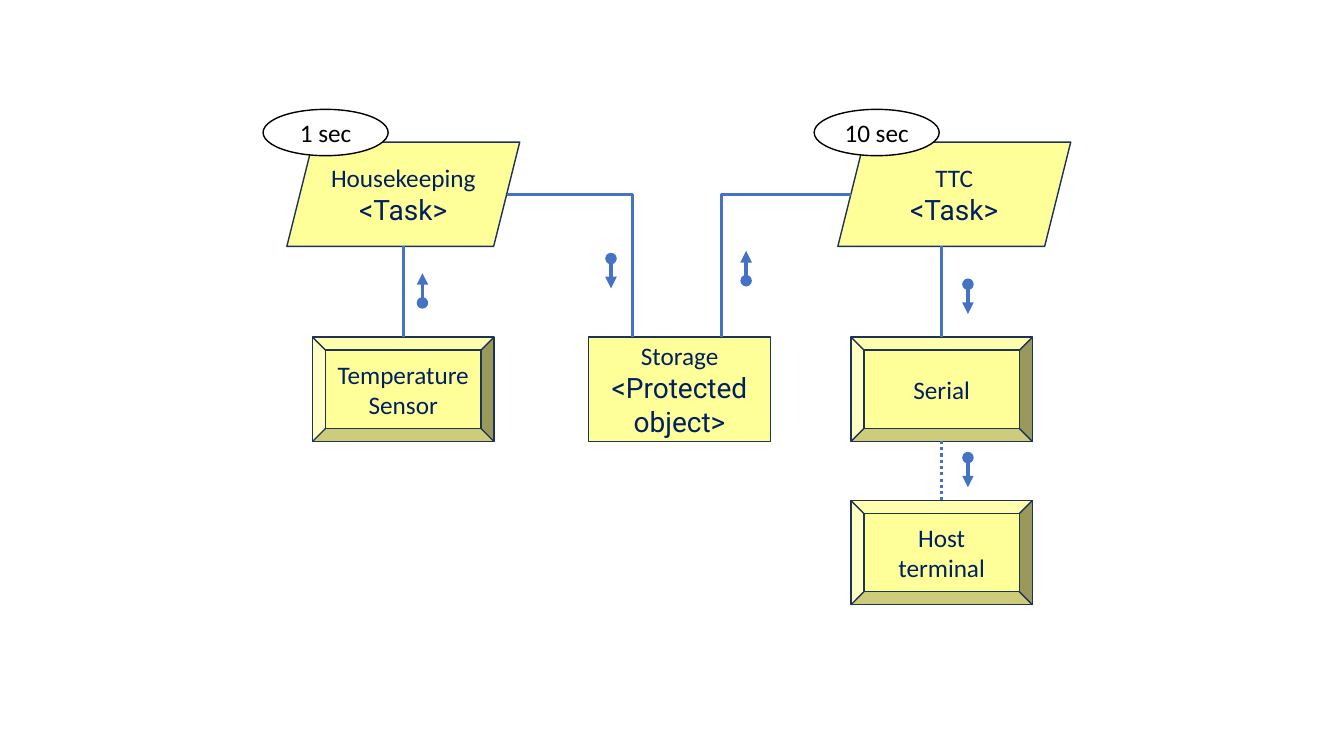
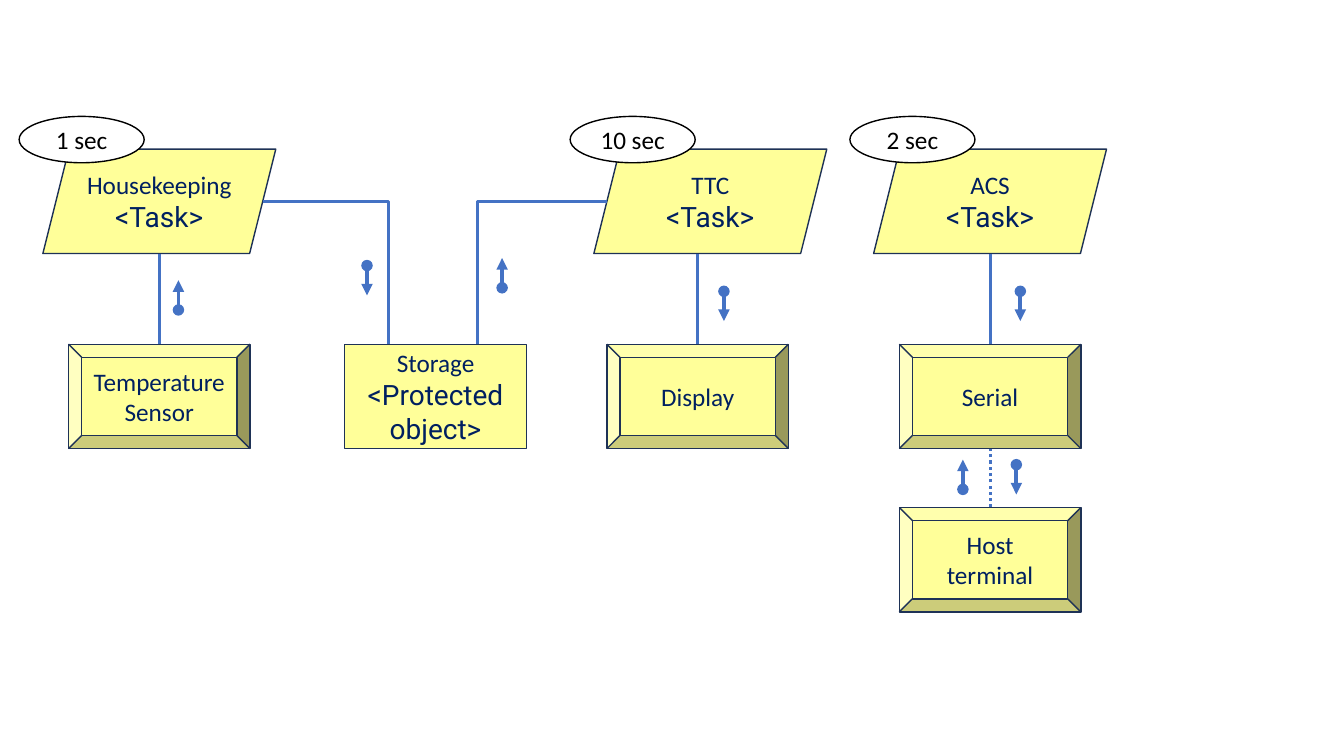
from pptx import Presentation
from pptx.dml.color import RGBColor
from pptx.enum.dml import MSO_LINE
from pptx.enum.shapes import MSO_CONNECTOR, MSO_SHAPE
from pptx.enum.text import MSO_ANCHOR, PP_ALIGN
from pptx.oxml.ns import qn
from pptx.util import Inches, Pt
from lxml import etree

STRAIGHT, ELBOW = MSO_CONNECTOR.STRAIGHT, MSO_CONNECTOR.ELBOW
BEVEL, RECTANGLE = MSO_SHAPE.BEVEL, MSO_SHAPE.RECTANGLE
PARALLELOGRAM, OVAL = MSO_SHAPE.PARALLELOGRAM, MSO_SHAPE.OVAL
DOTTED = MSO_LINE.ROUND_DOT
MIDDLE, CENTER = MSO_ANCHOR.MIDDLE, PP_ALIGN.CENTER

COLORS = {
    "box": "FFFF99", "edge": "1E3256", "text": "002060",
    "link": "4472C4", "timer": "FFFFFF", "ink": "000000",
}
NAME_FONT, KIND_FONT = ("Calibri", 18), ("Roboto", 20)

CELL = 0.1
TASK_WIDTH, DEVICE_WIDTH, BOX_HEIGHT = 23.1, 18, 10.35
TIMER_WIDTH, TIMER_HEIGHT = 12.4, 4.6
TIMER_LEFT, TIMER_RISE = -13.9, -3.25
DEVICE_ROW, HOST_ROW = 19.35, 35.55
STORAGE_LANE, TTC_LANE, ACS_LANE = 27.4, 53.4, 82.4
TTC_SHIFT = 1.25
FLOW_LENGTH = 2.95


def color(name):
    return RGBColor.from_string(COLORS[name])


class Diagram:
    def __init__(self, deck):
        self.deck = deck
        self.page = None
        self.origin = (0, 0)

    def new_page(self, column, row):
        self.page = self.deck.slides.add_slide(self.deck.slide_layouts[6])
        self.origin = (column, row)

    def place(self, column, row):
        return (Inches((self.origin[0] + column) * CELL),
                Inches((self.origin[1] + row) * CELL))

    def box(self, shape, column, row, width, height, lines,
            fill="box", edge="edge", ink="text"):
        box = self.page.shapes.add_shape(
            shape, *self.place(column, row), Inches(width * CELL), Inches(height * CELL))
        box.shadow.inherit = False
        box.fill.solid()
        box.fill.fore_color.rgb = color(fill)
        box.line.color.rgb = color(edge)
        box.line.width = Pt(1)
        frame = box.text_frame
        frame.word_wrap = True
        frame.vertical_anchor = MIDDLE
        for index, text in enumerate(lines):
            para = frame.paragraphs[0] if index == 0 else frame.add_paragraph()
            para.text = text
            para.alignment = CENTER
            name, size = KIND_FONT if text.startswith("<") else NAME_FONT
            para.font.name, para.font.size = name, Pt(size)
            para.font.color.rgb = color(ink)

    def task(self, center, name):
        self.box(PARALLELOGRAM, center - TASK_WIDTH / 2, 0, TASK_WIDTH, BOX_HEIGHT,
                 [name, "<Task>"])

    def device(self, lane, *lines, row=DEVICE_ROW, shape=BEVEL):
        self.box(shape, lane - DEVICE_WIDTH / 2, row, DEVICE_WIDTH, BOX_HEIGHT, lines)

    def timer(self, center, period):
        self.box(OVAL, center + TIMER_LEFT, TIMER_RISE, TIMER_WIDTH, TIMER_HEIGHT,
                 [period], "timer", "ink", "ink")

    def link(self, start, end, kind=STRAIGHT, width=2.25):
        link = self.page.shapes.add_connector(kind, *self.place(*start), *self.place(*end))
        link.line.color.rgb = color("link")
        link.line.width = Pt(width)
        etree.SubElement(link._element.spPr, qn("a:effectLst"))
        return link

    def drop(self, lane):
        self.link((lane, DEVICE_ROW), (lane, BOX_HEIGHT))

    def corner(self, start, end):
        link = self.link(start, end, ELBOW)
        link._element.spPr.find(qn("a:prstGeom")).set("prst", "bentConnector2")

    def flow(self, column, top, up=False):
        rows = (top + FLOW_LENGTH, top) if up else (top, top + FLOW_LENGTH)
        arrow = self.link((column, rows[0]), (column, rows[1]), width=2.75)
        outline = arrow.line._get_or_add_ln()
        for end, form in (("headEnd", "oval"), ("tailEnd", "triangle")):
            etree.SubElement(outline, qn(f"a:{end}"), type=form)

    def host(self, lane):
        self.device(lane, "Host", "terminal", row=HOST_ROW)
        self.link((lane, HOST_ROW), (lane, DEVICE_ROW + BOX_HEIGHT)).line.dash_style = DOTTED
        self.flow(lane + 2.6, 31.3)

    def storage_pipeline(self, output):
        ttc_center = TTC_LANE + TTC_SHIFT
        self.task(0, "Housekeeping")
        self.task(ttc_center, "TTC")
        self.device(STORAGE_LANE, "Storage", "<Protected object>", shape=RECTANGLE)
        self.device(0, "Temperature", "Sensor")
        self.device(TTC_LANE, output)
        self.drop(0)
        self.drop(TTC_LANE)
        side = (TASK_WIDTH - BOX_HEIGHT / 4) / 2
        self.corner((side, BOX_HEIGHT / 2), (STORAGE_LANE - 4.7, DEVICE_ROW))
        self.corner((ttc_center - side, BOX_HEIGHT / 2), (STORAGE_LANE + 4.2, DEVICE_ROW))
        self.flow(1.9, 13, up=True)
        self.flow(TTC_LANE + 2.6, 14.1)
        self.flow(STORAGE_LANE - 6.8, 11.55)
        self.flow(STORAGE_LANE + 6.6, 10.8, up=True)
        self.timer(0, "1 sec")
        self.timer(ttc_center, "10 sec")


def main():
    deck = Presentation()
    deck.slide_width, deck.slide_height = Inches(13.33), Inches(7.5)
    diagram = Diagram(deck)

    diagram.new_page(40, 14.1)
    diagram.storage_pipeline("Serial")
    diagram.host(TTC_LANE)

    diagram.new_page(15.8, 14.8)
    diagram.storage_pipeline("Display")
    diagram.task(ACS_LANE, "ACS")
    diagram.timer(ACS_LANE, "2 sec")
    diagram.device(ACS_LANE, "Serial")
    diagram.drop(ACS_LANE)
    diagram.flow(ACS_LANE + 3, 14.1)
    diagram.host(ACS_LANE)
    diagram.flow(ACS_LANE - 2.7, 30.8, up=True)

    deck.save("out.pptx")


if __name__ == "__main__":
    main()
